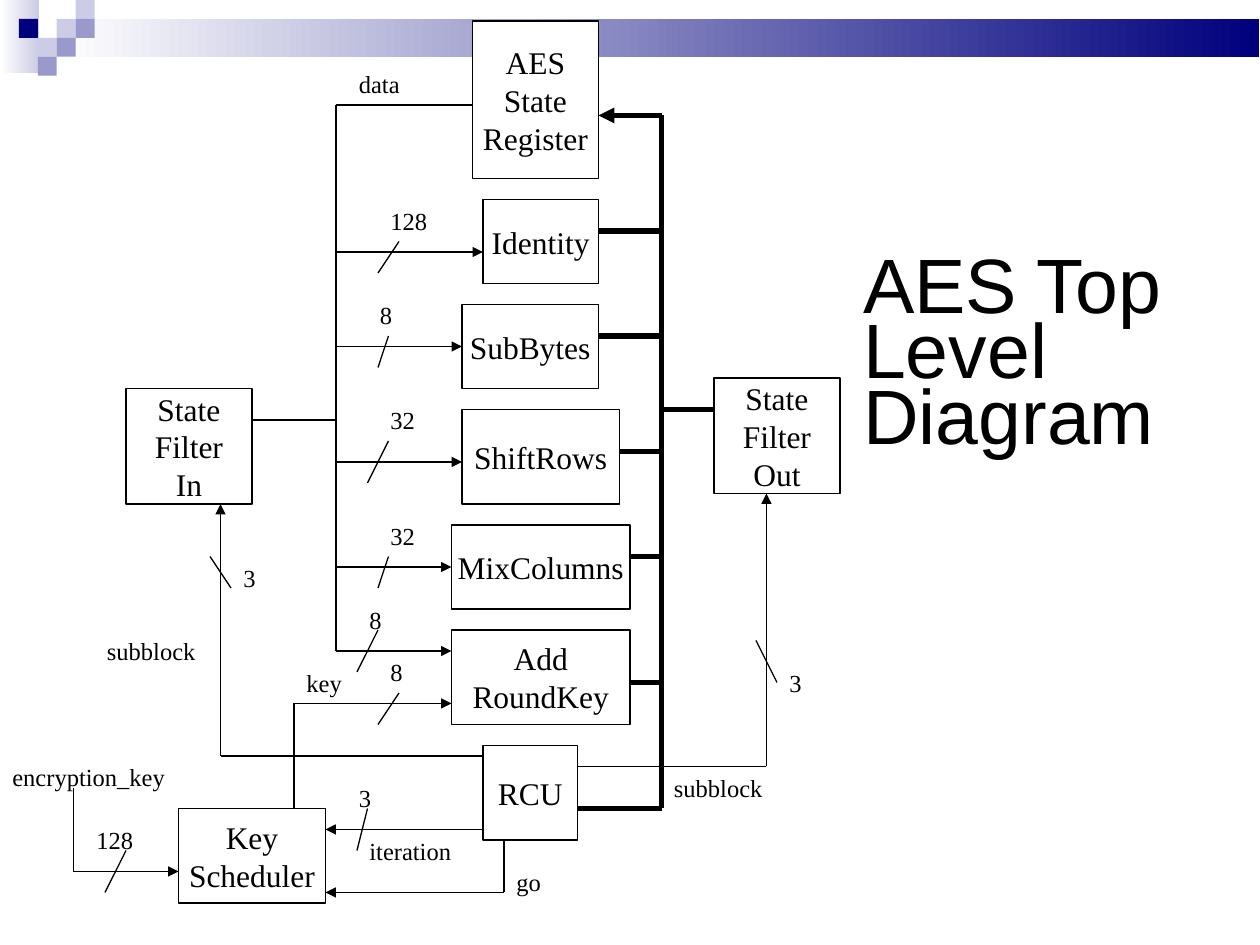
from itertools import pairwise

from lxml import etree
from pptx import Presentation
from pptx import util as u
from pptx.dml.color import RGBColor
from pptx.enum import shapes, text
from pptx.oxml.ns import qn

COLUMNS, ROWS = 120, 90
TILE = 1.8
INK, PAPER, NAVY, LILAC, VIOLET = "000000", "FFFFFF", "00007D", "CCCCE6", "9999CC"
SERIF = {"name": "Times New Roman", "size": u.Pt(18)}
SMALL = {"name": "Times New Roman", "size": u.Pt(14)}
HEADING = {"name": "Arial", "size": u.Pt(44)}
THIN, THICK = 0.75, 3

TITLE = ("AES Top Level Diagram", (81, 6, 44, 56.4))
BANDS = [((0, 0, 3.7, 7), LILAC), ((5.4, 1.8, 114.5, 3.6), NAVY)]
TILES = [(3, 1, LILAC), (4, 0, LILAC), (4, 1, VIOLET), (2, 2, LILAC),
         (1, 1, NAVY), (3, 2, VIOLET), (2, 3, VIOLET)]
BLOCKS = [
    ("AES\nState\nRegister", (45, 2, 12, 15)),
    ("Identity", (46, 19, 11, 8)),
    ("SubBytes", (44, 29, 13, 8)),
    ("ShiftRows", (44, 39, 15, 9)),
    ("MixColumns", (43, 50, 17, 8)),
    ("Add\nRoundKey", (43, 60, 17, 9)),
    ("RCU", (46, 71, 9, 9)),
    ("Key\nScheduler", (17, 77, 14, 9)),
    ("State\nFilter\nIn", (12, 37, 12, 11)),
    ("State\nFilter\nOut", (68, 36, 12, 11)),
]
ARROWS = [
    [(7, 75), (7, 83), (17, 83)],
    [(28, 77), (28, 67), (43, 67)],
    [(48, 80), (48, 85), (31, 85)],
    [(46, 79), (31, 79)],
    [(55, 73), (73, 73), (73, 47)],
    [(46, 72), (21, 72), (21, 48)],
    [(45, 10), (32, 10), (32, 62), (43, 62)],
    [(32, 54), (43, 54)],
    [(32, 44), (44, 44)],
    [(32, 33), (44, 33)],
    [(32, 24), (46, 24)],
]
FILTER_WIRE = [(24, 40), (32, 40)]
BUS_COLUMN = 63
BUS = [(55, 77), (BUS_COLUMN, 77), (BUS_COLUMN, 65), (BUS_COLUMN, 11), (57, 11)]
BUS_TAPS = [(60, 65), (60, 53), (59, 43), (68, 39), (57, 32), (57, 22)]
WIDTH_MARKS = [
    [(12, 81), (10, 85)], [(38, 66), (36, 69)], [(35, 77), (34, 81)],
    [(72, 61), (74, 65)], [(20, 53), (22, 56)], [(38, 23), (36, 26)],
    [(37, 32), (36, 35)], [(37, 42), (35, 46)], [(37, 53), (36, 56)],
    [(36, 60), (34, 64)],
]
LABELS = [
    ("encryption_key", 0, 72, 25), ("key", 28, 63, 7), ("128", 8, 78, 7),
    ("8", 36, 62, 4), ("go", 48, 82, 6), ("3", 33, 74, 4),
    ("iteration", 34, 79, 14), ("subblock", 63, 73, 12), ("3", 74, 63, 5),
    ("subblock", 9, 60, 12), ("3", 22, 53, 5), ("data", 33, 6, 11),
    ("8", 34, 57, 5), ("32", 36, 49, 5), ("8", 35, 28, 5),
    ("32", 36, 38, 5), ("128", 36, 19, 7),
]
LABEL_ROWS = 4

presentation = Presentation()
presentation.slide_width, presentation.slide_height = u.Inches(10), u.Inches(7.5)
slide = presentation.slides.add_slide(presentation.slide_layouts[5])


def color(value):
    return RGBColor.from_string(value)


def grid(*cells):
    return [int(cell * presentation.slide_width / COLUMNS) for cell in cells]


def write(shape, words, font, frame_format, paragraph_format):
    frame = shape.text_frame
    frame.text = words
    for name, value in frame_format.items():
        setattr(frame, name, value)
    for paragraph in frame.paragraphs:
        for name, value in paragraph_format.items():
            setattr(paragraph, name, value)
        for run in paragraph.runs:
            for name, value in font.items():
                setattr(run.font, name, value)
            run.font.color.rgb = color(INK)


def add_panel(kind, cells):
    shape = slide.shapes.add_shape(kind, *grid(*cells))
    shape.shadow.inherit = False
    shape.line.fill.background()
    return shape


def add_band(cells, end):
    fill = add_panel(shapes.MSO_SHAPE.RECTANGLE, cells).fill
    fill.gradient()
    fill.gradient_angle = 180
    for stop, value in zip(fill.gradient_stops, (end, PAPER)):
        stop.color.rgb = color(value)


def add_tile(column, row, value):
    tile = add_panel(shapes.MSO_SHAPE.ROUNDED_RECTANGLE,
                     (column * TILE, row * TILE, TILE, TILE))
    tile.adjustments[0] = 0.01
    tile.fill.solid()
    tile.fill.fore_color.rgb = color(value)


def add_block(words, cells):
    block = add_panel(shapes.MSO_SHAPE.RECTANGLE, cells)
    block.fill.solid()
    block.fill.fore_color.rgb = color(PAPER)
    block.line.color.rgb = color(INK)
    block.line.width = u.Pt(THIN)
    write(block, words, SERIF,
          {"word_wrap": False, "vertical_anchor": text.MSO_ANCHOR.MIDDLE},
          {"alignment": text.PP_ALIGN.CENTER})


def add_wire(points, width=THIN, arrow=False):
    for start, end in pairwise(points):
        wire = slide.shapes.add_connector(
            shapes.MSO_CONNECTOR.STRAIGHT, *grid(*start, *end))
        wire.line.color.rgb = color(INK)
        wire.line.width = u.Pt(width)
        etree.SubElement(wire._element.spPr, qn("a:effectLst"))
    if arrow:
        etree.SubElement(wire.line._get_or_add_ln(), qn("a:tailEnd"), type="triangle")


def add_label(words, column, row, columns):
    label = slide.shapes.add_textbox(*grid(column, row, columns, LABEL_ROWS))
    write(label, words, SMALL,
          {"word_wrap": True, "auto_size": text.MSO_AUTO_SIZE.SHAPE_TO_FIT_TEXT},
          {"space_before": u.Pt(8.8)})


for band in BANDS:
    add_band(*band)
for tile in TILES:
    add_tile(*tile)

title = slide.shapes.title
title_words, title_cells = TITLE
title.left, title.top, title.width, title.height = grid(*title_cells)
write(title, title_words, HEADING,
      {"word_wrap": True, "vertical_anchor": text.MSO_ANCHOR.MIDDLE,
       "auto_size": text.MSO_AUTO_SIZE.NONE},
      {"alignment": text.PP_ALIGN.LEFT, "line_spacing": 0.71})

for block in BLOCKS:
    add_block(*block)
for arrow in ARROWS:
    add_wire(arrow, arrow=True)
for wire in [FILTER_WIRE, *WIDTH_MARKS]:
    add_wire(wire)
add_wire(BUS, THICK, arrow=True)
for column, row in BUS_TAPS:
    add_wire([(column, row), (BUS_COLUMN, row)], THICK)
for label in LABELS:
    add_label(*label)

presentation.save("out.pptx")
